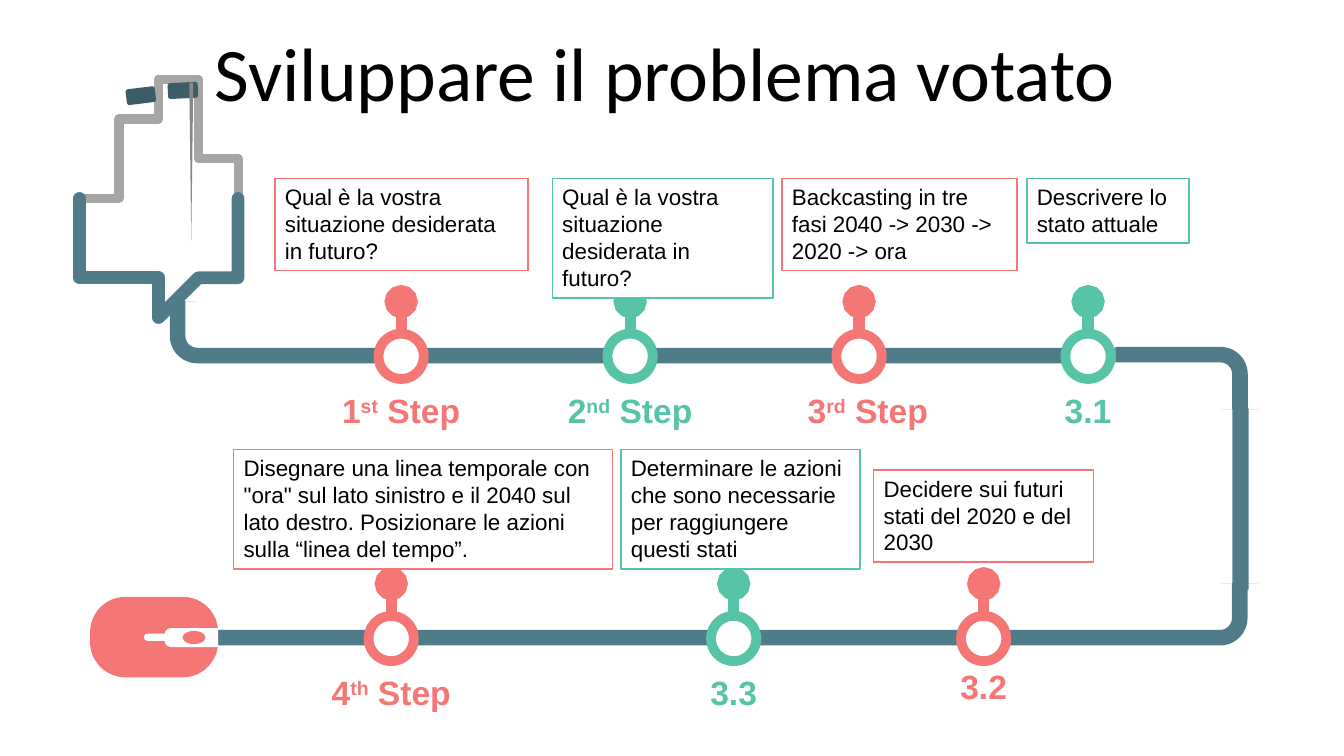
from dataclasses import dataclass

from lxml import etree
from pptx import Presentation
from pptx.dml.color import RGBColor
from pptx.enum import shapes, text
from pptx.oxml.ns import qn
from pptx.util import Cm, Pt


@dataclass(frozen=True)
class Theme:
    coral: str = "F47775"
    green: str = "57C3A7"
    tube: str = "507C89"
    earpiece: str = "3C5D67"
    metal: str = "A6A6A6"
    spike: str = "888888"
    white: str = "FFFFFF"
    black: str = "000000"
    title_font: str = "Calibri"
    body_font: str = "Arial"
    title_size: int = 54
    label_size: int = 24
    box_size: int = 16


THEME = Theme()
KINDS = shapes.MSO_SHAPE
TITLE = "Sviluppare il problema votato"

UPPER_ROW = (8.98, [("1", "st", " Step"), ("2", "nd", " Step"), ("3", "rd", " Step"), ("3.1",)])
LOWER_ROW = (16.09, [("4", "th", " Step"), ("3.3",), ("3.2",)])
FIRST_STOP, STOP_GAP = 10.11, 5.77
LOWER_STOPS = (9.86, 18.49, 24.79)
LABEL_SHIFTS = {"3": (0.22, 0), "3.2": (0, -0.15)}

DESIRED = "Qual è la vostra situazione desiderata in futuro?"
BOXES = [
    (6.93, 4.5, 6.38, 3, DESIRED),
    (13.92, 4.5, 5.56, 4, DESIRED),
    (19.71, 4.5, 5.92, 3, "Backcasting in tre fasi 2040 -> 2030 -> 2020 -> ora"),
    (25.88, 4.5, 4.09, 2, "Descrivere lo stato attuale"),
    (22.02, 11.84, 5.54, 3, "Decidere sui futuri stati del 2020 e del 2030"),
    (15.65, 11.33, 6.02, 4,
     "Determinare le azioni che sono necessarie per raggiungere questi stati"),
    (5.89, 11.33, 9.55, 4,
     'Disegnare una linea temporale con "ora" sul lato sinistro e il 2040 sul lato destro. '
     "Posizionare le azioni sulla “linea del tempo”."),
]

HOSES = [
    (THEME.metal, 6.5, [(2.5, 5.1), (2.8, 3.9), (3.2, 2.5), (4.2, 2.34)]),
    (THEME.metal, 6.5, [(4.2, 2.34), (5.1, 2.6), (5.5, 3.7), (6.1, 4.8)]),
    (THEME.tube, 9, [(2.46, 5.25), (2, 6.5), (2.9, 7.5), (4.45, 7.5)]),
    (THEME.tube, 9, [(4.45, 7.5), (6.2, 7.5), (6.9, 6.1), (6.2, 5)]),
]
EARPIECES = [
    (KINDS.ROUNDED_RECTANGLE, THEME.earpiece, (3.18, 2.21, 0.74, 0.4), 353),
    (KINDS.ROUNDED_RECTANGLE, THEME.earpiece, (4.23, 2.08, 0.76, 0.4), 357),
    (KINDS.ISOSCELES_TRIANGLE, THEME.spike, (4.77, 2.08, 0.1, 4), 180),
]
RISER = [(KINDS.RECTANGLE, THEME.tube, (31.06, 10.29, 0.41, 4.57), 0)]
MOUSE = [
    (KINDS.ROUNDED_RECTANGLE, THEME.coral, (2.27, 15.04, 3.23, 2.03), 0, 0.44),
    (KINDS.ROUNDED_RECTANGLE, THEME.white, (3.63, 15.97, 0.8, 0.18), 0, 0.5),
    (KINDS.ROUND_2_SAME_RECTANGLE, THEME.white, (4.58, 15.39, 0.48, 1.35), 270, 0.35),
    (KINDS.OVAL, THEME.coral, (4.6, 15.9, 0.58, 0.33), 0),
]
BEND_WIDTH, BEND_SHAPE = 1.57, (0.25, 0.3, 0, 0.44)
BENDS = [(17.81, 2.36, 26.24, 90, True), (15.27, -3.68, 24.1, 270, False),
         (29.13, 7.72, 3.61, 90, False)]


def rgb(color):
    return RGBColor.from_string(color)


def paint(shape, fill, line=None, width=1):
    shape.shadow.inherit = False
    shape.fill.solid()
    shape.fill.fore_color.rgb = rgb(fill)
    if line:
        shape.line.color.rgb = rgb(line)
        shape.line.width = Pt(width)
    else:
        shape.line.fill.background()


def style(para, font, size, color, bold=False):
    para.font.name, para.font.size, para.font.bold = font, Pt(size), bold
    para.font.color.rgb = rgb(color)


def add_preset(page, kind, left, top, width, height):
    return page.shapes.add_shape(kind, Cm(left), Cm(top), Cm(width), Cm(height))


def add_parts(page, parts):
    for kind, color, place, rotation, *rounding in parts:
        part = add_preset(page, kind, *place)
        part.rotation = rotation
        for value in rounding:
            part.adjustments[0] = value
        paint(part, color)


def add_hose(page, color, width, knots, steps=16):
    points = []
    for step in range(steps + 1):
        t = step / steps
        weights = ((1 - t) ** 3, 3 * t * (1 - t) ** 2, 3 * t * t * (1 - t), t ** 3)
        points.append([sum(w * knot[axis] for w, knot in zip(weights, knots))
                       for axis in (0, 1)])
    builder = page.shapes.build_freeform(*points[0], scale=Cm(1))
    builder.add_line_segments(points[1:], close=False)
    hose = builder.convert_to_shape()
    paint(hose, THEME.white, color, width)
    hose.fill.background()
    hose.line._get_or_add_ln().set("cap", "rnd")


def add_title(page):
    title = page.shapes.title
    title.left, title.top, title.width, title.height = Cm(0.89), Cm(0.94), Cm(32.16), Cm(2.01)
    frame = title.text_frame
    frame.text = TITLE
    frame.auto_size = text.MSO_AUTO_SIZE.NONE
    frame.vertical_anchor = text.MSO_ANCHOR.MIDDLE
    frame.margin_right = Cm(0.68)
    para = frame.paragraphs[0]
    para.alignment = text.PP_ALIGN.CENTER
    para.line_spacing = 0.9
    style(para, THEME.title_font, THEME.title_size, THEME.black)


def add_bend(page, left, top, length, rotation, flipped):
    bend = add_preset(page, KINDS.BENT_ARROW, left, top, BEND_WIDTH, length)
    for index, value in enumerate(BEND_SHAPE):
        bend.adjustments[index] = value
    bend.rotation = rotation
    if flipped:
        bend._element.spPr.xfrm.set("flipH", "1")
    paint(bend, THEME.tube)


def add_stop(page, x, y, color, parts, ring=1.14, label_width=4):
    pin = page.shapes.add_connector(shapes.MSO_CONNECTOR.STRAIGHT,
                                    Cm(x), Cm(y), Cm(x), Cm(y - 1.38))
    pin.line.color.rgb = rgb(color)
    pin.line.width = Pt(8)
    for end in ("a:headEnd", "a:tailEnd"):
        etree.SubElement(pin.line._get_or_add_ln(), qn(end), type="oval")
    etree.SubElement(pin._element.spPr, qn("a:effectLst"))
    circle = add_preset(page, KINDS.OVAL, x - ring / 2, y - ring / 2, ring, ring)
    paint(circle, THEME.white, color, 7)

    right, down = LABEL_SHIFTS.get(parts[0], (0, 0))
    label = page.shapes.add_textbox(Cm(x + right - label_width / 2), Cm(y + 0.72 + down),
                                    Cm(label_width), Cm(1.27))
    label.text_frame.word_wrap = True
    label.text_frame.vertical_anchor = text.MSO_ANCHOR.MIDDLE
    para = label.text_frame.paragraphs[0]
    para.alignment = text.PP_ALIGN.CENTER
    for index, part in enumerate(parts):
        span = para.add_run()
        span.text = part
        if index == 1:
            span._r.get_or_add_rPr().set("baseline", "30000")
    style(para, THEME.body_font, THEME.label_size, color, True)


def add_box(page, color, left, top, width, lines, wording):
    box = add_preset(page, KINDS.RECTANGLE, left, top, width, 0.69 * lines + 0.25)
    paint(box, THEME.white, color)
    box.text_frame.text = wording
    box.text_frame.word_wrap = True
    box.text_frame.vertical_anchor = text.MSO_ANCHOR.TOP
    para = box.text_frame.paragraphs[0]
    para.alignment = text.PP_ALIGN.LEFT
    style(para, THEME.body_font, THEME.box_size, THEME.black)


def main():
    deck = Presentation()
    deck.slide_width, deck.slide_height = Cm(33.87), Cm(19.05)
    page = deck.slides.add_slide(deck.slide_layouts[5])
    add_title(page)
    for hose in HOSES:
        add_hose(page, *hose)
    add_parts(page, EARPIECES)
    for bend in BENDS:
        add_bend(page, *bend)
    add_parts(page, RISER)
    colors = (THEME.coral, THEME.green)
    upper_stops = [FIRST_STOP + STOP_GAP * index for index in range(len(UPPER_ROW[1]))]
    for (y, labels), stops in ((UPPER_ROW, upper_stops), (LOWER_ROW, LOWER_STOPS)):
        for index, (x, parts) in enumerate(zip(stops, labels)):
            add_stop(page, x, y, colors[index % 2], parts)
    add_parts(page, MOUSE)
    for index, box in enumerate(BOXES):
        add_box(page, colors[index % 2], *box)
    deck.save("out.pptx")


if __name__ == "__main__":
    main()
